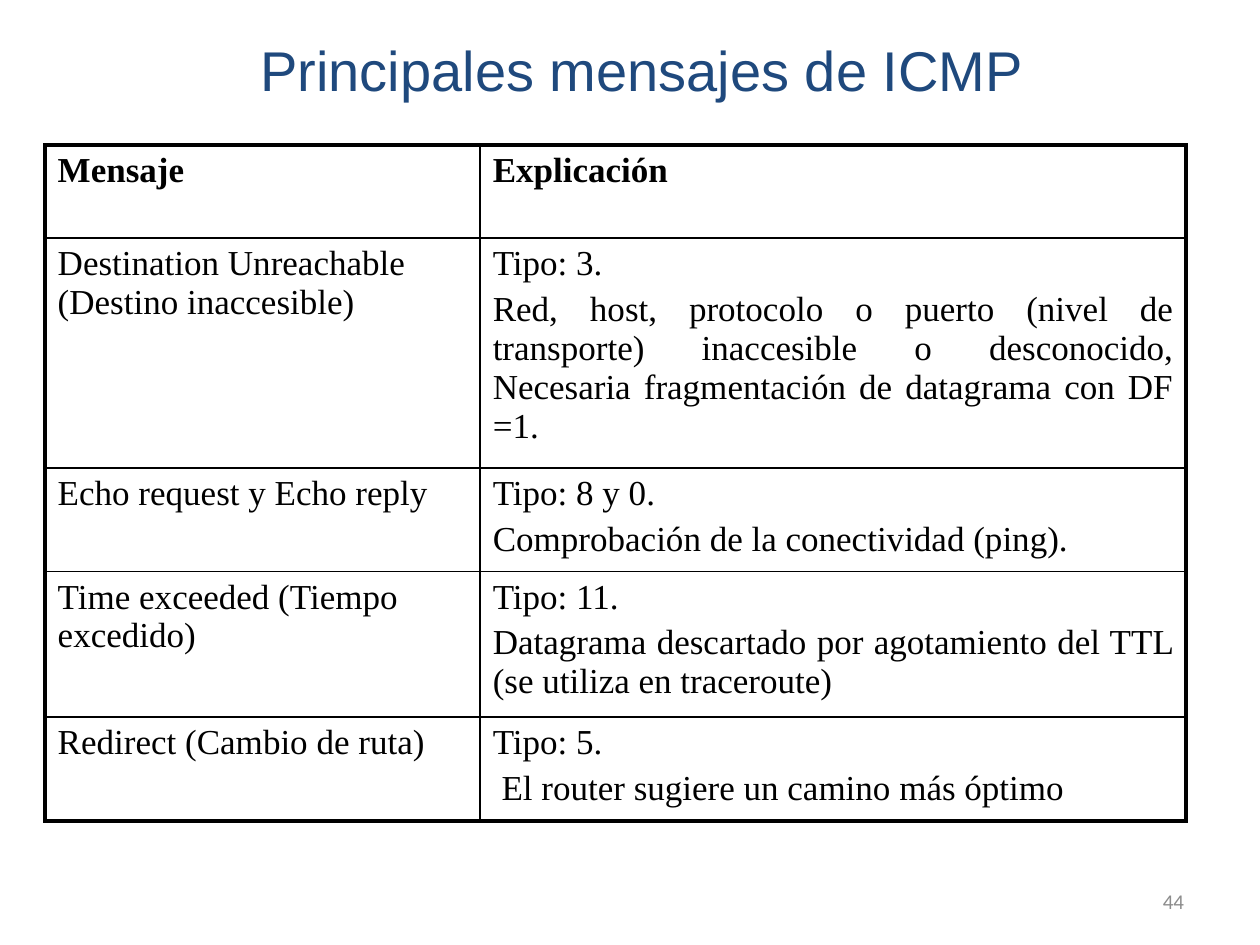
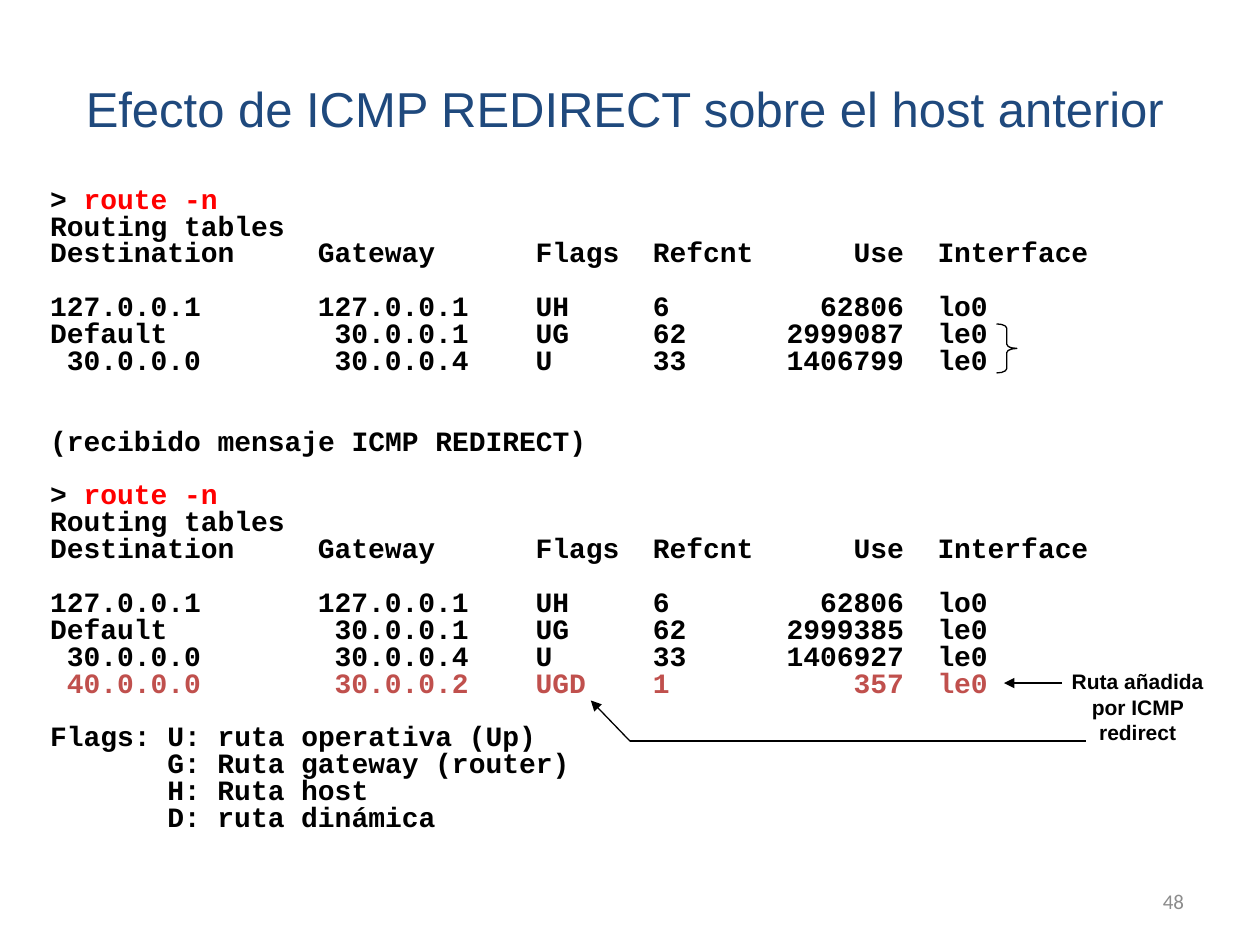
from dataclasses import dataclass

from lxml.etree import SubElement
from pptx import Presentation
from pptx.dml.color import RGBColor
from pptx.enum.shapes import MSO_CONNECTOR, MSO_SHAPE
from pptx.enum.text import MSO_ANCHOR, PP_ALIGN
from pptx.oxml.ns import qn
from pptx.util import Cm, Pt


@dataclass(frozen=True)
class Theme:
    title: RGBColor = RGBColor(0x1F, 0x49, 0x7D)
    ink: RGBColor = RGBColor(0, 0, 0)
    paper: RGBColor = RGBColor(0xFF, 0xFF, 0xFF)
    muted: RGBColor = RGBColor(0x8C, 0x8C, 0x8C)
    command: RGBColor = RGBColor(0xFF, 0, 0)
    added: RGBColor = RGBColor(0xC0, 0x50, 0x4D)
    sans: str = "Arial"
    serif: str = "Times New Roman"
    mono: str = "Courier New"
    number: str = "Calibri"
    title_size: float = 32
    long_title_size: float = 28
    table_size: float = 20
    terminal_size: float = 16
    small_size: float = 12
    tight: float = 0.8
    thin: float = 0.75
    inner_border: float = 1
    outer_border: float = 2.25


THEME = Theme()


@dataclass(frozen=True)
class Box:
    """Left, top, width and height in centimetres."""
    left: float
    top: float
    width: float
    height: float

    def emu(self) -> tuple:
        return Cm(self.left), Cm(self.top), Cm(self.width), Cm(self.height)


@dataclass(frozen=True)
class Message:
    name: str
    explanation: tuple
    height: float
    bold: bool = False


@dataclass(frozen=True)
class Line:
    """One terminal line; gap counts the empty lines above it."""
    text: str
    command: str = ""
    color: RGBColor = THEME.ink
    gap: int = 0
    indent: int = 0


@dataclass(frozen=True)
class Stroke:
    x1: float
    y1: float
    x2: float
    y2: float
    arrow: bool = False


MESSAGES = (
    Message("Mensaje", ("Explicación",), 1.88, bold=True),
    Message("Destination Unreachable (Destino inaccesible)",
            ("Tipo: 3.",
             "Red, host, protocolo o puerto (nivel de transporte) inaccesible o "
             "desconocido, Necesaria fragmentación de datagrama con DF =1."), 4.63),
    Message("Echo request y Echo reply",
            ("Tipo: 8 y 0.", "Comprobación de la conectividad (ping)."), 2.08),
    Message("Time exceeded (Tiempo excedido)",
            ("Tipo: 11.",
             "Datagrama descartado por agotamiento del TTL "
             "(se utiliza en traceroute)"), 2.92),
    Message("Redirect (Cambio de ruta)",
            ("Tipo: 5.", " El router sugiere un camino más óptimo"), 2.08),
)
MESSAGE_COLUMNS = (8.77, 14.23)

# Terminal columns, counted in characters
TAB_STOPS = ((16, "l"), (29, "l"), (36, "l"), (51, "r"), (53, "l"))
CHAR_WIDTH = THEME.terminal_size * 0.598
LINE_HEIGHT = THEME.terminal_size * 1.2 * THEME.tight


def route_table(default_use: int, network_use: int, gap: int = 0) -> list:
    """The output of route -n, with the use counts that change."""
    return [
        Line("> ", command="route -n", gap=gap),
        Line("Routing tables"),
        Line("Destination\tGateway\tFlags\tRefcnt\tUse\tInterface"),
        Line("127.0.0.1\t127.0.0.1\tUH\t6\t62806\tlo0", gap=1),
        Line(f"Default\t 30.0.0.1\tUG\t62\t{default_use}\tle0"),
        Line(f" 30.0.0.0\t 30.0.0.4\tU\t33\t{network_use}\tle0"),
    ]


TERMINAL = (
    *route_table(2999087, 1406799),
    Line("(recibido mensaje ICMP REDIRECT)", gap=2),
    *route_table(2999385, 1406927, gap=1),
    Line(" 40.0.0.0\t 30.0.0.2\tUGD\t1\t357\tle0", color=THEME.added),
    Line("Flags: U: ruta operativa (Up)", gap=1),
    Line("G: Ruta gateway (router)", indent=7),
    Line("H: Ruta host", indent=7),
    Line("D: ruta dinámica", indent=7),
)

STROKES = (
    Stroke(21.41, 13.77, 20.24, 13.77, arrow=True),
    Stroke(12.7, 14.94, 11.91, 14.12, arrow=True),
    Stroke(12.7, 14.94, 21.89, 14.94),
)


def style(p, font: str, size: float, color: RGBColor, bold: bool = False) -> None:
    p.font.name = font
    p.font.size = Pt(size)
    p.font.bold = bold
    p.font.color.rgb = color


def add_frame(s, box: Box, anchor=MSO_ANCHOR.TOP):
    tf = s.shapes.add_textbox(*box.emu()).text_frame
    tf.word_wrap = True
    tf.vertical_anchor = anchor
    return tf


def add_label(s, box: Box, text: str, font: str, size: float, color: RGBColor,
              align=PP_ALIGN.CENTER, anchor=MSO_ANCHOR.MIDDLE, bold: bool = False,
              spacing: float = 1.0) -> None:
    p = add_frame(s, box, anchor).paragraphs[0]
    p.text = text
    p.alignment = align
    p.line_spacing = spacing
    style(p, font, size, color, bold)


def add_page(prs, title: str, box: Box, size: float, number: int):
    """Blank slide with the shared title style and page number."""
    s = prs.slides.add_slide(prs.slide_layouts[6])
    add_label(s, Box(18.2, 17.65, 5.92, 1.02), str(number), THEME.number,
              THEME.small_size, THEME.muted, align=PP_ALIGN.RIGHT)
    add_label(s, box, title, THEME.sans, size, THEME.title, spacing=THEME.tight)
    return s


def set_borders(cell, widths: dict) -> None:
    """Draw cell borders; must run before the cell gets its fill."""
    tc_pr = cell._tc.get_or_add_tcPr()
    for side, width in widths.items():
        ln = SubElement(tc_pr, qn(f"a:ln{side}"), w=str(Pt(width)))
        fill = SubElement(ln, qn("a:solidFill"))
        SubElement(fill, qn("a:srgbClr"), val=str(THEME.ink))


def fill_cell(cell, paragraphs: tuple, align, bold: bool) -> None:
    cell.fill.solid()
    cell.fill.fore_color.rgb = THEME.paper
    tf = cell.text_frame
    for i, text in enumerate(paragraphs):
        p = tf.add_paragraph() if i else tf.paragraphs[0]
        p.text = text
        p.alignment = align
        if i:
            p.space_before = Pt(THEME.table_size * 0.2)
        style(p, THEME.serif, THEME.table_size, THEME.ink, bold)


def add_message_table(s) -> None:
    box = Box(0.91, 2.92, sum(MESSAGE_COLUMNS), sum(m.height for m in MESSAGES))
    last_row, last_col = len(MESSAGES) - 1, len(MESSAGE_COLUMNS) - 1
    table = s.shapes.add_table(last_row + 1, last_col + 1, *box.emu()).table
    for column, width in zip(table.columns, MESSAGE_COLUMNS):
        column.width = Cm(width)
    for i, message in enumerate(MESSAGES):
        table.rows[i].height = Cm(message.height)
        for j, paragraphs in enumerate(((message.name,), message.explanation)):
            cell = table.cell(i, j)
            outer = {"L": j == 0, "R": j == last_col, "T": i == 0, "B": i == last_row}
            set_borders(cell, {side: THEME.outer_border if edge else THEME.inner_border
                               for side, edge in outer.items()})
            align = PP_ALIGN.JUSTIFY if j or message.bold else PP_ALIGN.LEFT
            fill_cell(cell, paragraphs, align, message.bold)


def set_tabs(p) -> None:
    tabs = SubElement(p._p.get_or_add_pPr(), qn("a:tabLst"))
    for chars, align in TAB_STOPS:
        SubElement(tabs, qn("a:tab"), pos=str(Pt(chars * CHAR_WIDTH)), algn=align)


def add_terminal(s, box: Box) -> None:
    tf = add_frame(s, box)
    for i, line in enumerate(TERMINAL):
        p = tf.add_paragraph() if i else tf.paragraphs[0]
        p.line_spacing = THEME.tight
        p.space_before = Pt(line.gap * LINE_HEIGHT)
        if "\t" in line.text:
            set_tabs(p)
        if line.indent:
            p._p.get_or_add_pPr().set("marL", str(Pt(line.indent * CHAR_WIDTH)))
        style(p, THEME.mono, THEME.terminal_size, line.color, bold=True)
        p.add_run().text = line.text
        if line.command:
            r = p.add_run()
            r.text = line.command
            r.font.color.rgb = THEME.command


def add_stroke(s, stroke: Stroke) -> None:
    c = s.shapes.add_connector(MSO_CONNECTOR.STRAIGHT, Cm(stroke.x1), Cm(stroke.y1),
                               Cm(stroke.x2), Cm(stroke.y2))
    c.line.color.rgb = THEME.ink
    c.line.width = Pt(THEME.thin)
    if stroke.arrow:
        SubElement(c.line._get_or_add_ln(), qn("a:tailEnd"), type="triangle")
    SubElement(c._element.spPr, qn("a:effectLst"))


def add_brace(s, box: Box) -> None:
    sp = s.shapes.add_shape(MSO_SHAPE.RIGHT_BRACE, *box.emu())
    sp.shadow.inherit = False
    sp.fill.background()
    sp.line.color.rgb = THEME.ink
    sp.line.width = Pt(THEME.thin)
    sp.adjustments[0] = 0.21


def build_messages(prs) -> None:
    s = add_page(prs, "Principales mensajes de ICMP", Box(3.84, 0.84, 18.21, 1.35),
                 THEME.title_size, 44)
    add_message_table(s)


def build_redirect(prs) -> None:
    s = add_page(prs, "Efecto de ICMP REDIRECT sobre el host anterior",
                 Box(0.62, 1.07, 23.95, 2.44), THEME.long_title_size, 48)
    add_terminal(s, Box(0.76, 3.66, 21.56, 13.28))
    add_label(s, Box(21.17, 13.36, 3.53, 1.78), "Ruta añadida por ICMP redirect",
              THEME.sans, THEME.small_size, THEME.ink, anchor=MSO_ANCHOR.TOP, bold=True)
    for stroke in STROKES:
        add_stroke(s, stroke)
    add_brace(s, Box(20.09, 6.53, 0.41, 0.99))


def main() -> None:
    prs = Presentation()
    prs.slide_width, prs.slide_height = Cm(25.4), Cm(19.05)
    build_messages(prs)
    build_redirect(prs)
    prs.save("out.pptx")


if __name__ == "__main__":
    main()
